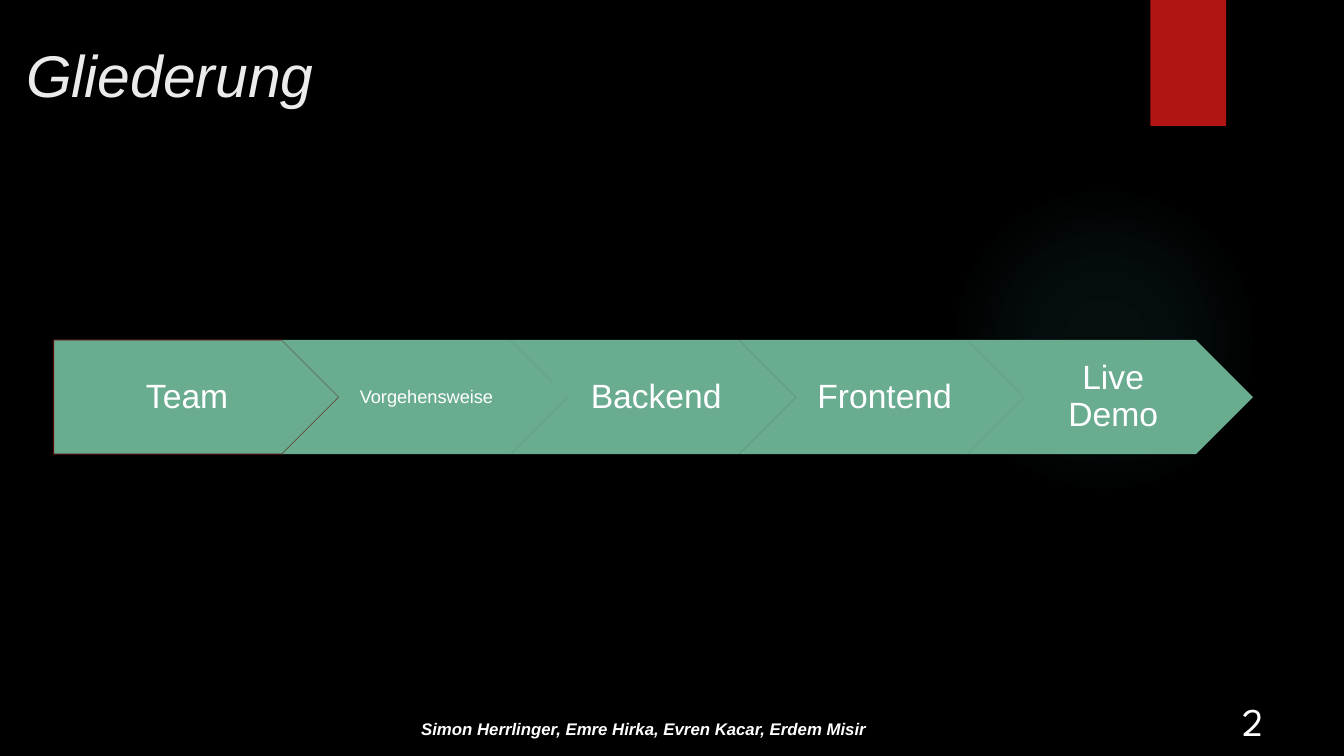
"""Builds the agenda slide with a five-step process chain."""
from lxml.etree import SubElement
from pptx import Presentation
from pptx.dml.color import RGBColor
from pptx.enum.shapes import MSO_SHAPE
from pptx.enum.text import MSO_ANCHOR, PP_ALIGN
from pptx.oxml.ns import qn
from pptx.util import Inches, Pt

BLACK = RGBColor(0x00, 0x00, 0x00)
WHITE = RGBColor(0xFF, 0xFF, 0xFF)
OFF_WHITE = RGBColor(0xEB, 0xEB, 0xEB)
RED = RGBColor(0xB0, 0x15, 0x13)
DARK_RED = RGBColor(0x58, 0x0A, 0x09)
GREEN = RGBColor(0x6A, 0xAC, 0x90)
TEAL = RGBColor(0x50, 0xB9, 0xC1)

STEPS = [("Team", 24), ("Vorgehensweise", 13), ("Backend", 24),
         ("Frontend", 24), ("Live Demo", 24)]
STEP_LEFT, STEP_TOP, STEP_WIDTH, STEP_HEIGHT = 3.98, 44.97, 21.25, 15.1
STEP_PITCH = 0.8 * STEP_WIDTH


class Deck:
    """Holds the style and current slide; boxes are percentages of its size."""

    font = "Arial"

    def __init__(self, prs):
        self.prs = prs
        self.slide = prs.slides.add_slide(prs.slide_layouts[6])
        fill = self.slide.background.fill
        fill.solid()
        fill.fore_color.rgb = BLACK

    def place(self, left, top, width, height):
        w, h = self.prs.slide_width / 100, self.prs.slide_height / 100
        return int(left * w), int(top * h), int(width * w), int(height * h)

    def shape(self, kind, box, color, line=None):
        sp = self.slide.shapes.add_shape(kind, *self.place(*box))
        sp.shadow.inherit = False
        sp.fill.solid()
        sp.fill.fore_color.rgb = color
        if line is None:
            sp.line.fill.background()
        else:
            sp.line.color.rgb = line
            sp.line.width = Pt(0.75)
        return sp

    def glow(self, box, color, stops):
        sp = self.shape(MSO_SHAPE.OVAL, box, color)
        solid = sp._element.spPr.find(qn("a:solidFill"))
        grad = solid.makeelement(qn("a:gradFill"), {"rotWithShape": "1"})
        gs_list = SubElement(grad, qn("a:gsLst"))
        for position, alpha in stops:
            gs = SubElement(gs_list, qn("a:gs"), pos=str(position * 1000))
            clr = SubElement(gs, qn("a:srgbClr"), val=str(color))
            SubElement(clr, qn("a:alpha"), val=str(alpha * 1000))
        radial = SubElement(grad, qn("a:path"), {"path": "circle"})
        SubElement(radial, qn("a:fillToRect"), dict.fromkeys("ltrb", "50000"))
        solid.getparent().replace(solid, grad)

    def label(self, tf, text, size, color=WHITE, font=None, bold=False,
              italic=False, align=PP_ALIGN.LEFT, anchor=MSO_ANCHOR.TOP):
        tf.word_wrap = True
        tf.vertical_anchor = anchor
        p = tf.paragraphs[0]
        p.alignment = align
        r = p.add_run()
        r.text = text
        r.font.name = font or self.font
        r.font.size = Pt(size)
        r.font.bold = bold
        r.font.italic = italic
        r.font.color.rgb = color
        return p

    def text(self, box, text, size, **style):
        tb = self.slide.shapes.add_textbox(*self.place(*box))
        self.label(tb.text_frame, text, size, **style)

    def step(self, index, text, size):
        first = index == 0
        box = (STEP_LEFT + index * STEP_PITCH, STEP_TOP, STEP_WIDTH, STEP_HEIGHT)
        sp = self.shape(MSO_SHAPE.PENTAGON if first else MSO_SHAPE.CHEVRON,
                        box, GREEN, DARK_RED if first else None)
        tf = sp.text_frame
        tf.margin_left = Inches(0.14 if first else size / 240)
        tf.margin_right = Inches(size / 600)
        tf.margin_top = tf.margin_bottom = Inches(0.07)
        p = self.label(tf, text, size, align=PP_ALIGN.CENTER,
                       anchor=MSO_ANCHOR.MIDDLE)
        p.line_spacing = 0.9


def main():
    prs = Presentation()
    prs.slide_width, prs.slide_height = Inches(13.33), Inches(7.5)
    deck = Deck(prs)
    deck.glow((70.58, 24.4, 23.1, 41.07), TEAL, [(0, 7), (36, 6), (69, 0)])
    deck.shape(MSO_SHAPE.RECTANGLE, (85.6, 0, 5.63, 16.67), RED)
    deck.text((30.6, 94.4, 52.65, 4),
              "Simon Herrlinger, Emre Hirka, Evren Kacar, Erdem Misir",
              12, bold=True, italic=True)
    deck.text((1.2, 4.4, 82.5, 21.2), "Gliederung", 42,
              color=OFF_WHITE, italic=True)
    deck.text((87.9, 93.73, 10.73, 5.33), "2", 28, font="League Spartan",
              align=PP_ALIGN.CENTER, anchor=MSO_ANCHOR.BOTTOM)
    for index, (name, size) in enumerate(STEPS):
        deck.step(index, name, size)
    prs.save("out.pptx")


if __name__ == "__main__":
    main()
